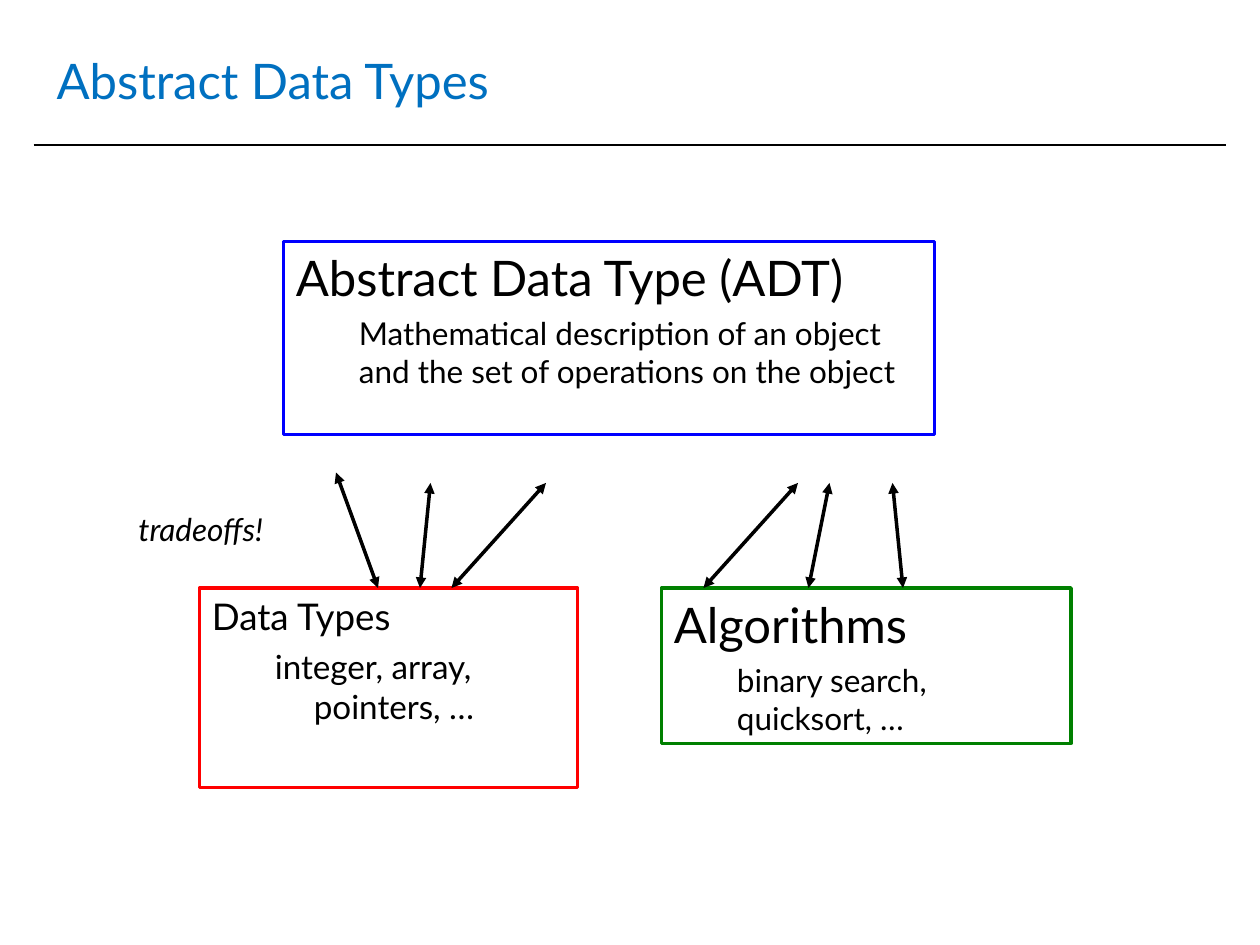
import pptx
import pptx.dml.color
import pptx.enum.shapes
import pptx.enum.text
import pptx.oxml.ns
import pptx.util
from lxml import etree

RGBColor = pptx.dml.color.RGBColor
Pt = pptx.util.Pt
BLACK = RGBColor(0x00, 0x00, 0x00)
TITLE_BLUE = RGBColor(0x00, 0x70, 0xC0)
BLUE = RGBColor(0x00, 0x00, 0xFF)
RED = RGBColor(0xFF, 0x00, 0x00)
GREEN = RGBColor(0x00, 0x80, 0x00)
FONT = "Lato"
COLS, ROWS = 120, 90
UNIT = pptx.util.Inches(10) // COLS


def grid(*cells):
    """Turn grid columns and rows into lengths."""
    return [round(c * UNIT) for c in cells]


def add_text(p, text, size, color=BLACK, italic=None, before=0, level=0, left=0, first=0):
    """Write one formatted run into a paragraph."""
    p.alignment = pptx.enum.text.PP_ALIGN.LEFT
    p.level = level
    p.space_before = Pt(before)
    pPr = p._p.get_or_add_pPr()
    pPr.set("marL", str(pptx.util.Inches(left)))
    pPr.set("indent", str(pptx.util.Inches(first)))
    r = p.add_run()
    r.text = text
    r.font.name, r.font.size, r.font.italic = FONT, Pt(size), italic
    r.font.color.rgb = color


def add_line(s, start, end, width, arrows=False):
    """Draw a black line between two grid points."""
    sp = s.shapes.add_connector(
        pptx.enum.shapes.MSO_CONNECTOR.STRAIGHT, *grid(*start, *end))
    sp.line.color.rgb, sp.line.width = BLACK, Pt(width)
    if arrows:
        ln = sp.line._get_or_add_ln()
        for tag in ("a:headEnd", "a:tailEnd"):
            etree.SubElement(ln, pptx.oxml.ns.qn(tag), type="triangle")
    etree.SubElement(sp._element.spPr, pptx.oxml.ns.qn("a:effectLst"))


def add_title(s, box, text):
    """Place the title and the rule below it."""
    sp = s.shapes.title
    sp.left, sp.top, sp.width, sp.height = grid(*box)
    tf = sp.text_frame
    tf.vertical_anchor = pptx.enum.text.MSO_ANCHOR.MIDDLE
    add_text(tf.paragraphs[0], text, 28, TITLE_BLUE)
    add_line(s, (3.2, 13.8), (COLS - 3.2, 13.8), 1)


def add_concept(s, box, color, heading, detail, heading_style, detail_style):
    """Place an outlined box with a heading and an indented detail."""
    sp = s.shapes.add_shape(pptx.enum.shapes.MSO_SHAPE.RECTANGLE, *grid(*box))
    sp.shadow.inherit = False
    sp.fill.background()
    sp.line.color.rgb, sp.line.width = color, Pt(2)
    tf = sp.text_frame
    tf.word_wrap = True
    tf.vertical_anchor = pptx.enum.text.MSO_ANCHOR.TOP
    add_text(tf.paragraphs[0], heading, **heading_style)
    add_text(tf.add_paragraph(), detail, level=1, **detail_style)


def add_arrows(s, top, bottom, columns):
    """Draw double-headed arrows between two rows."""
    for upper, lower, lift in columns:
        add_line(s, (upper, top - lift), (lower, bottom), 2, arrows=True)


def add_note(s, box, text):
    """Place an italic remark."""
    tf = s.shapes.add_textbox(*grid(*box)).text_frame
    tf.word_wrap = True
    add_text(tf.paragraphs[0], text, 18, italic=True, before=11.2)


def main():
    """Build the slide and save it."""
    prs = pptx.Presentation()
    prs.slide_width, prs.slide_height = grid(COLS, ROWS)
    s = prs.slides.add_slide(prs.slide_layouts[5])
    large = dict(size=28, before=7)
    body = dict(size=18, before=4.5, left=0.5)
    small = dict(size=21, before=5.2, left=0.38, first=-0.38)
    hanging = dict(size=19, before=4.8, left=0.81, first=-0.31)
    add_title(s, (4.2, 2.5, 111.5, 10.2), "Abstract Data Types")
    add_concept(s, (19, 56, 36, 19), RED, "Data Types",
                "integer, array, pointers, …", small, hanging)
    add_concept(s, (27, 23, 62, 18.4), BLUE, "Abstract Data Type (ADT)",
                "Mathematical description of an object and the set of "
                "operations on the object", large, body)
    add_concept(s, (63, 56, 39, 14.8), GREEN, "Algorithms",
                "binary search, quicksort, …", large, body)
    add_arrows(s, 46, 56, [(32, 36, 1), (41, 40, 0), (52, 43, 0),
                           (76, 67, 0), (79, 77, 0), (85, 86, 0)])
    add_note(s, (12, 48, 19, 4.8), "tradeoffs!")
    prs.save("out.pptx")


if __name__ == "__main__":
    main()
